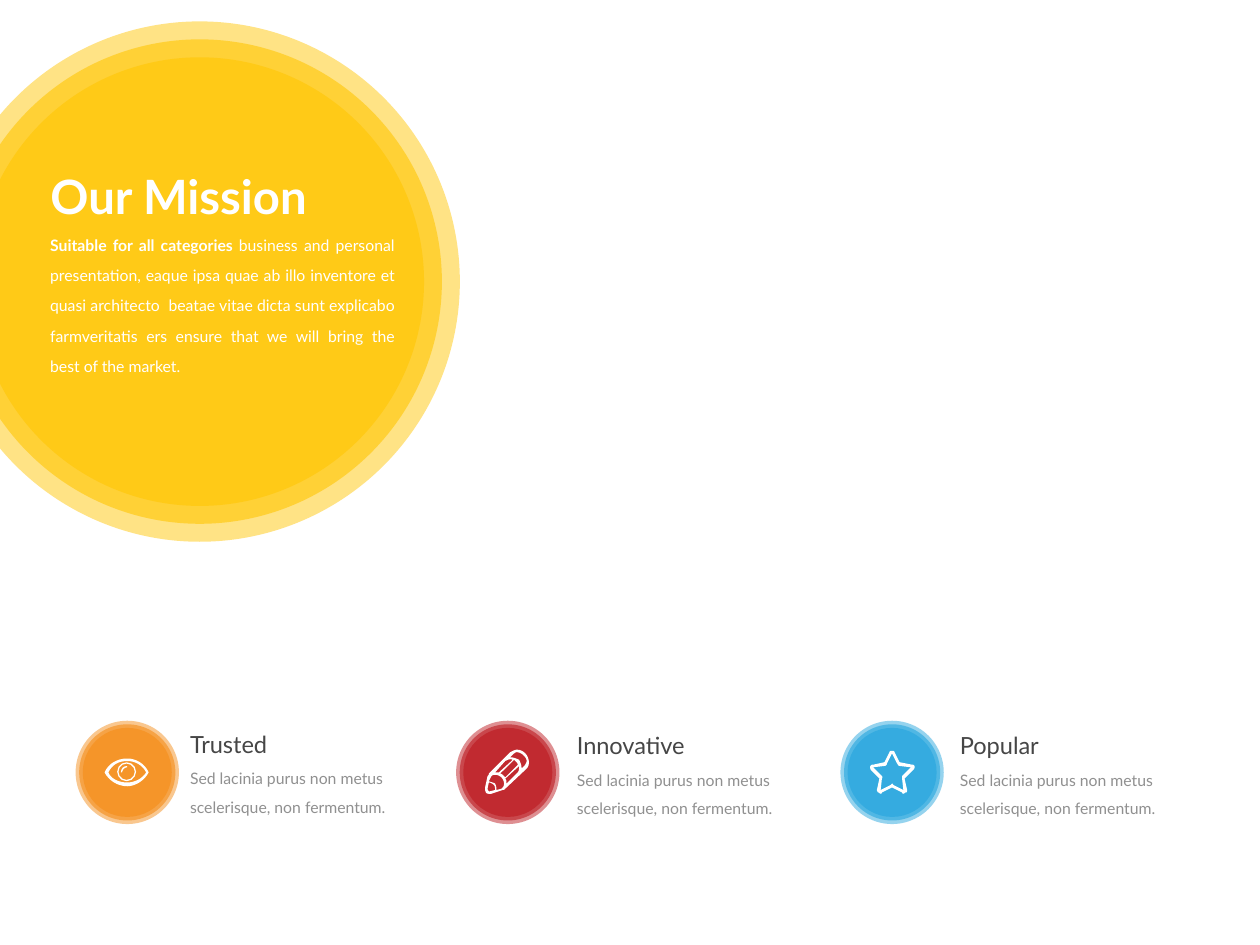
from dataclasses import dataclass

import pptx
import pptx.dml.color
import pptx.enum.shapes
import pptx.enum.text
import pptx.oxml.ns
import pptx.util
from lxml import etree

Inches = pptx.util.Inches
Pt = pptx.util.Pt
SHAPE = pptx.enum.shapes.MSO_SHAPE
ALIGN = pptx.enum.text.PP_ALIGN
AUTO = pptx.enum.text.MSO_AUTO_SIZE

FONT = "Lato"
WHITE, DARK, GREY, YELLOW = "FFFFFF", "464646", "909090", "FFC80D"
RING_ALPHAS = (50, 65, 75)
RING_STEP = 0.0345  # inset of each ring as a share of the badge diameter
CURVE_STEPS = 8
BLURB = "Sed lacinia purus non metus scelerisque, non fermentum."


@dataclass
class Value:
    name: str
    color: str
    badge_x: float
    text_x: float
    text_y: float


VALUES = [
    Value("Trusted", "F59120", 0.6, 1.41, 5.74),
    Value("Innovative", "BF2127", 3.62, 4.48, 5.75),
    Value("Popular", "2CA8DF", 6.67, 7.52, 5.75),
]

# Contours in inches: a pair is a line to a point, six numbers are a Bezier curve.
EYE = [
    [(0.83, 6.13), (0.86, 6.06, 0.93, 6.02, 1.01, 6.02), (1.08, 6.02, 1.15, 6.06, 1.18, 6.13),
     (1.15, 6.19, 1.08, 6.24, 1.01, 6.24), (0.93, 6.24, 0.86, 6.19, 0.83, 6.13)],
    [(1.01, 6.21), (0.94, 6.21, 0.88, 6.18, 0.86, 6.13), (0.89, 6.07, 0.94, 6.04, 1.01, 6.04),
     (1.07, 6.04, 1.13, 6.07, 1.16, 6.13), (1.13, 6.18, 1.07, 6.21, 1.01, 6.21)],
]
GLINT = [
    [(1.01, 6.08), (0.98, 6.08, 0.96, 6.1, 0.96, 6.13), (0.97, 6.13),
     (0.97, 6.11, 0.99, 6.09, 1.01, 6.09)],
]
PENCIL = [
    [(4.17, 5.98), (4.15, 5.96, 4.13, 5.95, 4.1, 5.95), (4.09, 5.95, 4.07, 5.96, 4.05, 5.97),
     (3.88, 6.14), (3.88, 6.15, 3.88, 6.15, 3.87, 6.16), (3.85, 6.25),
     (3.85, 6.29, 3.86, 6.3, 3.88, 6.3), (3.9, 6.3), (3.99, 6.27),
     (4, 6.27, 4, 6.27, 4.01, 6.26), (4.18, 6.1), (4.21, 6.07, 4.2, 6.01, 4.17, 5.98)],
    [(4.02, 6.21), (4.02, 6.2, 4.02, 6.19, 4.01, 6.18), (4.12, 6.08),
     (4.12, 6.1, 4.12, 6.12, 4.11, 6.13), (4.02, 6.22)],
    [(4.01, 6.17), (4.01, 6.17, 4, 6.16, 3.99, 6.15), (3.99, 6.15, 3.98, 6.14, 3.97, 6.14),
     (4.08, 6.03), (4.09, 6.04, 4.09, 6.04, 4.1, 6.05), (4.1, 6.05, 4.11, 6.06, 4.11, 6.07)],
    [(3.96, 6.13), (3.95, 6.13, 3.94, 6.13, 3.93, 6.13), (4.01, 6.04),
     (4.03, 6.03, 4.05, 6.02, 4.07, 6.03)],
    [(3.89, 6.28), (3.88, 6.28), (3.88, 6.28, 3.87, 6.27, 3.87, 6.26), (3.88, 6.21),
     (3.89, 6.21, 3.91, 6.22, 3.92, 6.23), (3.93, 6.24, 3.93, 6.26, 3.93, 6.27)],
    [(3.94, 6.27), (3.94, 6.25, 3.94, 6.24, 3.93, 6.22), (3.92, 6.21, 3.9, 6.21, 3.88, 6.2),
     (3.9, 6.16), (3.92, 6.14, 3.96, 6.15, 3.98, 6.17), (4, 6.19, 4.01, 6.23, 3.99, 6.25),
     (3.98, 6.26)],
    [(4.16, 6.08), (4.14, 6.1), (4.14, 6.07, 4.13, 6.05, 4.12, 6.03),
     (4.1, 6.02, 4.07, 6.01, 4.05, 6.01), (4.07, 5.99), (4.08, 5.98, 4.09, 5.97, 4.1, 5.97),
     (4.12, 5.97, 4.14, 5.98, 4.15, 5.99), (4.17, 6.01, 4.18, 6.02, 4.18, 6.04),
     (4.18, 6.05, 4.17, 6.07, 4.16, 6.08)],
]
STAR = [
    [(7.26, 6.08), (7.25, 6.07, 7.25, 6.07, 7.24, 6.07), (7.14, 6.05), (7.1, 5.97),
     (7.1, 5.96, 7.09, 5.96, 7.08, 5.96), (7.07, 5.96, 7.06, 5.96, 7.06, 5.97), (7.02, 6.05),
     (6.93, 6.07), (6.92, 6.07, 6.91, 6.07, 6.91, 6.08), (6.9, 6.09, 6.91, 6.1, 6.91, 6.11),
     (6.98, 6.18), (6.96, 6.27), (6.96, 6.28, 6.97, 6.29, 6.97, 6.29),
     (6.98, 6.29, 6.98, 6.3, 6.99, 6.3), (6.99, 6.3, 7, 6.3, 7, 6.29), (7.08, 6.25),
     (7.16, 6.29), (7.16, 6.3, 7.17, 6.3, 7.17, 6.3), (7.18, 6.3, 7.18, 6.29, 7.19, 6.29),
     (7.2, 6.29, 7.2, 6.28, 7.2, 6.27), (7.18, 6.18), (7.25, 6.11),
     (7.26, 6.1, 7.26, 6.09, 7.26, 6.08)],
    [(7.16, 6.16), (7.16, 6.16, 7.16, 6.17, 7.16, 6.18), (7.17, 6.27), (7.09, 6.23),
     (7.09, 6.23, 7.09, 6.22, 7.08, 6.22), (7.08, 6.22, 7.07, 6.23, 7.07, 6.23), (6.99, 6.27),
     (7, 6.18), (7.01, 6.17, 7, 6.16, 7, 6.16), (6.93, 6.09), (7.02, 6.08),
     (7.03, 6.08, 7.04, 6.07, 7.04, 6.06), (7.08, 5.98), (7.12, 6.06),
     (7.13, 6.07, 7.13, 6.08, 7.14, 6.08), (7.23, 6.09)],
]


def rgb(color: str):
    return pptx.dml.color.RGBColor.from_string(color)


def paint(sp, color: str, alpha: int = 100) -> None:
    sp.shadow.inherit = False
    sp.fill.solid()
    sp.fill.fore_color.rgb = rgb(color)
    sp.line.fill.background()
    if alpha < 100:
        clr = sp.fill._xPr.find(".//" + pptx.oxml.ns.qn("a:srgbClr"))
        etree.SubElement(clr, pptx.oxml.ns.qn("a:alpha"), val=str(alpha * 1000))


def add_badge(s, x: float, y: float, size: float, color: str) -> None:
    """Draw three concentric translucent discs as one group."""
    group = s.shapes.add_group_shape()
    for i, alpha in enumerate(RING_ALPHAS):
        inset = i * RING_STEP * size
        d = Inches(size - 2 * inset)
        sp = group.shapes.add_shape(SHAPE.OVAL, Inches(x + inset), Inches(y + inset), d, d)
        paint(sp, color, alpha)


def flatten(contour: list) -> list:
    """Turn lines and Bezier curves into points in EMU."""
    pts = [contour[0]]
    for seg in contour[1:]:
        if len(seg) == 2:
            pts.append(seg)
            continue
        ctrl = [pts[-1], seg[:2], seg[2:4], seg[4:]]
        for step in range(1, CURVE_STEPS + 1):
            t = step / CURVE_STEPS
            w = ((1 - t) ** 3, 3 * t * (1 - t) ** 2, 3 * t * t * (1 - t), t ** 3)
            pts.append(tuple(sum(k * p[axis] for k, p in zip(w, ctrl)) for axis in (0, 1)))
    return [(Inches(x), Inches(y)) for x, y in pts]


def add_icon(shapes, contours: list) -> None:
    first, *rest = map(flatten, contours)
    builder = shapes.build_freeform(*first[0])
    builder.add_line_segments(first[1:], close=True)
    for pts in rest:
        builder.move_to(*pts[0])
        builder.add_line_segments(pts[1:], close=True)
    paint(builder.convert_to_shape(), WHITE)


def add_run(p, text: str, size: float, color: str, bold: bool = False) -> None:
    r = p.add_run()
    r.text = text
    r.font.name, r.font.size, r.font.bold = FONT, Pt(size), bold
    r.font.color.rgb = rgb(color)


def add_text(s, x: float, y: float, w: float, h: float, wrap: bool = True):
    """Add an empty text box and return its first paragraph."""
    tf = s.shapes.add_textbox(Inches(x), Inches(y), Inches(w), Inches(h)).text_frame
    tf.word_wrap = wrap
    return tf.paragraphs[0]


def add_title(s, text: str) -> None:
    title = s.shapes.title
    title.left, title.top, title.width, title.height = map(Inches, (0.3, 1.28, 2.29, 0.56))
    title._element.getparent().append(title._element)  # in front of the badge
    tf = title.text_frame
    tf.word_wrap, tf.auto_size = False, AUTO.NONE
    tf.vertical_anchor = pptx.enum.text.MSO_ANCHOR.TOP
    p = tf.paragraphs[0]
    p.alignment = ALIGN.LEFT
    add_run(p, text, 27, WHITE, True)


def add_value(s, v: Value) -> None:
    add_badge(s, v.badge_x, 5.72, 0.82, v.color)
    add_run(add_text(s, v.text_x, v.text_y, 1.12, 0.33, wrap=False), v.name, 13.5, DARK)
    p = add_text(s, v.text_x, v.text_y + 0.24, 1.98, 0.56)
    p.line_spacing = 1.5
    add_run(p, BLURB, 9, GREY)


def main() -> None:
    prs = pptx.Presentation()
    prs.slide_width, prs.slide_height = Inches(10), Inches(7.5)
    s = prs.slides.add_slide(prs.slide_layouts[5])

    add_badge(s, -0.48, 0.17, 4.13, YELLOW)
    add_title(s, "Our Mission")
    p = add_text(s, 0.3, 1.73, 2.93, 1.5)
    p.alignment, p.line_spacing = ALIGN.JUSTIFY, 1.6
    add_run(p, "Suitable for all categories ", 9, WHITE, True)
    add_run(p, "business and personal presentation, eaque ipsa quae ab illo inventore et quasi "
               "architecto  beatae vitae dicta sunt explicabo farmveritatis ers ensure that we "
               "will bring the best of the market.", 9, WHITE)

    for v in VALUES:
        add_value(s, v)

    eye = s.shapes.add_group_shape().shapes
    add_icon(eye, EYE)
    add_icon(eye, GLINT)
    iris = eye.add_shape(SHAPE.DONUT, Inches(0.93), Inches(6.05), Inches(0.15), Inches(0.15))
    iris.adjustments[0] = 0.07
    paint(iris, WHITE)
    add_icon(s.shapes, PENCIL)
    add_icon(s.shapes, STAR)
    prs.save("out.pptx")


if __name__ == "__main__":
    main()
